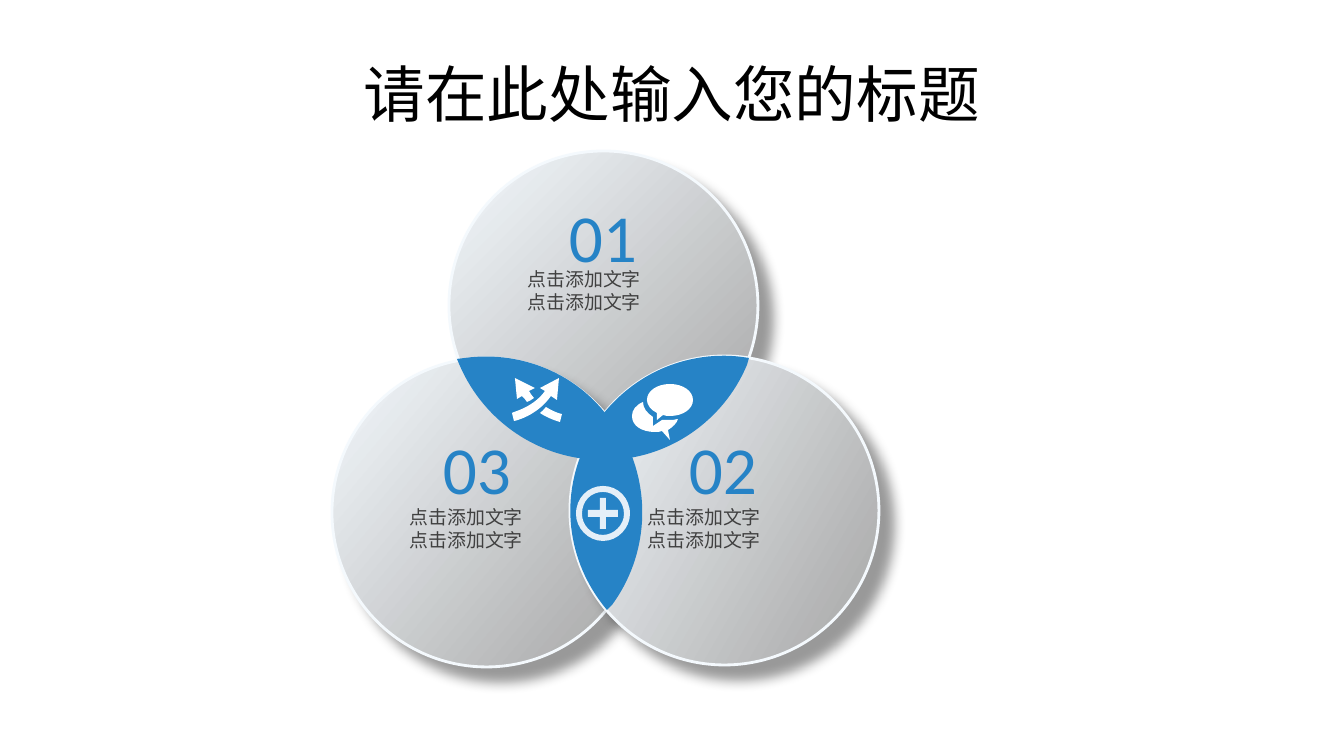
from lxml import etree
from pptx import Presentation
from pptx import util as u
from pptx.dml.color import RGBColor
from pptx.enum import shapes, text
from pptx.oxml.ns import qn

BLUE = RGBColor(0x26, 0x83, 0xC6)
WHITE = RGBColor(0xFF, 0xFF, 0xFF)
BLACK = RGBColor(0, 0, 0)
TEXT_GREY = RGBColor(0x40, 0x40, 0x40)
PALE = RGBColor(0xF4, 0xF9, 0xFD)
GREY = RGBColor(0xA6, 0xA6, 0xA6)
CJK, LATIN = "Noto Sans CJK SC", "Calibri"
PX = 914400 / 100.8

prs = Presentation()
prs.slide_width, prs.slide_height = u.Emu(12192000), u.Emu(6858000)
s = prs.slides.add_slide(prs.slide_layouts[5])


def write(p, words, size, font, colour):
    r = p.add_run()
    r.text = words
    r.font.size, r.font.name = u.Pt(size), font
    r.font.color.rgb = colour
    etree.SubElement(r.font._element, qn("a:ea")).set("typeface", CJK)


def draw(loops, colour):
    """Fill closed loops; a 2-tuple is a line to a point, a 6-tuple a Bézier curve."""
    builder = s.shapes.build_freeform(*loops[0][0], scale=PX)
    for i, loop in enumerate(loops):
        if i:
            builder.move_to(*loop[0])
        points = [step[k:k + 2] for step in loop[1:] for k in range(0, len(step), 2)]
        builder.add_line_segments(points, close=True)
    sp = builder.convert_to_shape()
    # Join the three points of each curve into one segment
    lines = iter(list(sp._element.iter(qn("a:lnTo"))))
    for step in (step for loop in loops for step in loop[1:]):
        parts = [next(lines) for _ in range(len(step) // 2)]
        if len(parts) == 3:
            curve = etree.Element(qn("a:cubicBezTo"))
            parts[0].addprevious(curve)
            for part in parts:
                curve.append(part[0])
                part.getparent().remove(part)
    sp.shadow.inherit = False
    sp.fill.solid()
    sp.fill.fore_color.rgb = colour
    sp.line.fill.background()
    return sp


# Title
title = s.shapes.title
title.left, title.top, title.width, title.height = [u.Emu(round(v * PX)) for v in (67, 30, 1210, 126)]
title.text_frame.vertical_anchor = text.MSO_ANCHOR.MIDDLE
p = title.text_frame.paragraphs[0]
p.alignment = text.PP_ALIGN.CENTER
write(p, "请在此处输入您的标题", 44, LATIN, BLACK)

# Three overlapping circles: top, left, right
DIAMETER = 309
for x, y, angle in ((449, 151, 45), (332, 358, 40), (570, 356, 30)):
    sp = s.shapes.add_shape(shapes.MSO_SHAPE.OVAL, *[
        u.Emu(round(v * PX)) for v in (x, y, DIAMETER, DIAMETER)])
    sp.fill.gradient()
    sp.fill.gradient_angle = 360 - angle
    for stop, colour, position in zip(sp.fill.gradient_stops, (PALE, GREY), (0, 1)):
        stop.color.rgb = colour
        stop.position = position
    sp.line.color.rgb = PALE
    sp.line.width = u.Pt(2)
    sp.shadow.inherit = False
    shadow = etree.SubElement(sp._element.spPr.find(qn("a:effectLst")), qn("a:outerShdw"),
                              blurRad=str(u.Pt(9)), dist=str(u.Pt(14)), dir="2700000",
                              algn="tl", rotWithShape="0")
    black = etree.SubElement(shadow, qn("a:srgbClr"), val="000000")
    etree.SubElement(black, qn("a:alpha"), val="40000")

# Captions and numbers
caption = ["点击添加文字"] * 2
for number, number_at, caption_at in (("01", (559, 190), (518, 263)),
                                      ("03", (433, 422), (400, 501)),
                                      ("02", (679, 422), (638, 501))):
    for lines, (x, y), w, h, size, font, colour in (
            (caption, caption_at, 135, 56, 13.5, CJK, TEXT_GREY),
            ([number], number_at, 90, 92, 48, LATIN, BLUE)):
        tf = s.shapes.add_textbox(*[u.Emu(round(v * PX)) for v in (x, y, w, h)]).text_frame
        tf.word_wrap = False
        for i, line in enumerate(lines):
            p = tf.add_paragraph() if i else tf.paragraphs[0]
            write(p, line, size, font, colour)

# Blue overlaps: bottom, left, right, centre
overlaps = [
    [(606, 412), (613, 420), (616, 424, 618, 429, 621, 433), (653, 489, 648, 556, 612, 605),
     (607, 610), (603, 605), (565, 556, 559, 490, 591, 434), (594, 429, 596, 425, 599, 420)],
    [(457, 359), (465, 358), (524, 350, 586, 376, 618, 432), (621, 437, 623, 442, 625, 447),
     (629, 457), (619, 459), (614, 459, 608, 459, 603, 460), (539, 460, 484, 421, 460, 366)],
    [(655, 372), (681, 359, 712, 353, 742, 357), (749, 358), (747, 365),
     (724, 420, 669, 460, 605, 460), (600, 460, 595, 460, 589, 459), (579, 457), (583, 447),
     (585, 443, 587, 438, 590, 433), (606, 406, 629, 385, 655, 372)],
    [(606, 412), (608, 414), (613, 420, 617, 426, 621, 433), (624, 438, 626, 442, 628, 447),
     (632, 457), (622, 459), (617, 460, 611, 460, 606, 460), (598, 460, 590, 460, 583, 459),
     (580, 457), (584, 447), (586, 443, 588, 438, 591, 433), (594, 429, 596, 424, 599, 420)],
]
for overlap in overlaps:
    draw([overlap], BLUE)

# Crossing arrows icon
draw([
    [(522, 396), (524, 398, 526, 400, 527, 402), (529, 401, 532, 400, 534, 398),
     (532, 396, 531, 394, 529, 391), (535, 388), (515, 378), (517, 399)],
    [(551, 396), (557, 400), (559, 378), (540, 388), (545, 391),
     (533, 408, 512, 412, 512, 413), (514, 421), (515, 421, 537, 416, 551, 396)],
    [(546, 407), (544, 410, 542, 411, 540, 413), (549, 419, 560, 422, 560, 422), (562, 414),
     (561, 414, 554, 412, 546, 407)],
], WHITE)

# Plus in a ring icon
plus = draw([
    [(606, 510), (606, 498), (600, 498), (600, 510), (588, 510), (588, 517),
     (600, 517), (600, 529), (606, 529), (606, 517), (618, 517), (618, 510)],
    [(603, 486), (588, 486, 576, 498, 576, 514), (576, 528, 588, 541, 603, 541),
     (618, 541, 630, 528, 630, 514), (630, 498, 618, 486, 603, 486)],
    [(603, 535), (591, 535, 582, 525, 582, 514), (582, 501, 591, 492, 603, 492),
     (614, 492, 624, 501, 624, 514), (624, 525, 614, 535, 603, 535)],
], WHITE)
white = plus._element.spPr.find(qn("a:solidFill")).find(qn("a:srgbClr"))
etree.SubElement(white, qn("a:alpha"), val="88000")

# Speech bubbles icon
draw([
    [(662, 420), (653, 426), (653, 417), (647, 413, 643, 408, 643, 402),
     (636, 405, 632, 410, 632, 416), (632, 426, 642, 432, 655, 432),
     (658, 432, 660, 432, 662, 431), (670, 440), (668, 430),
     (673, 427, 677, 423, 678, 419), (675, 420, 672, 420, 669, 420)],
    [(670, 384), (657, 384, 647, 391, 647, 400), (647, 405, 651, 410, 657, 413),
     (657, 420), (663, 415), (665, 416, 668, 416, 670, 416),
     (683, 416, 693, 409, 693, 400), (693, 391, 683, 384, 670, 384)],
], WHITE)

prs.save("out.pptx")
